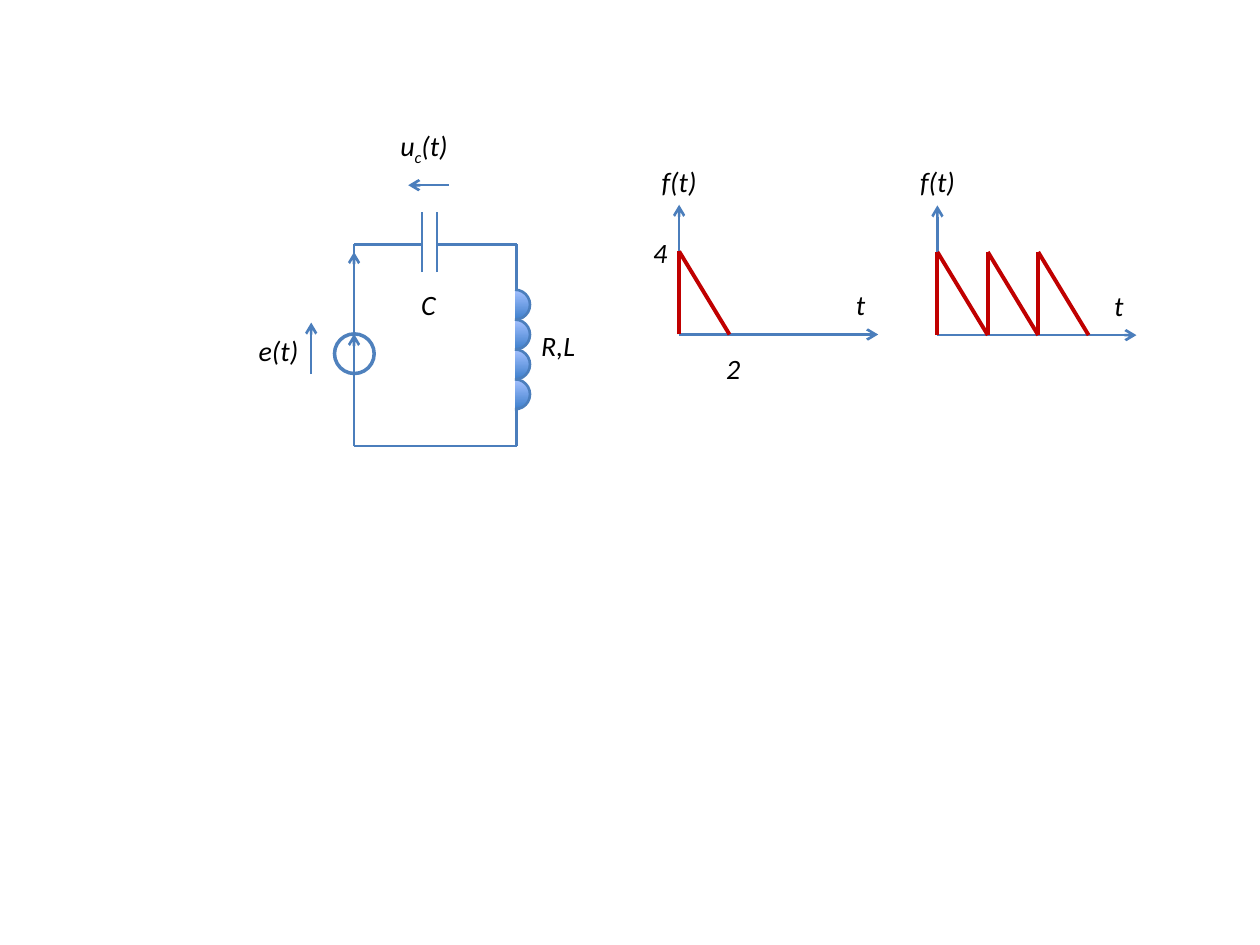
from lxml import etree
from pptx import Presentation
from pptx.dml.color import RGBColor as RGB
from pptx.enum.shapes import MSO_CONNECTOR as CONN, MSO_SHAPE as SHAPE
from pptx.enum.text import MSO_AUTO_SIZE as AUTO, PP_ALIGN as ALIGN
from pptx.oxml.ns import qn
from pptx.util import Inches, Pt

COLORS = {"wire": "4B7EBC", "source": "4F81BD", "signal": "C00000",
          "text": "000000", "paper": "FFFFFF"}
COLS, ROWS = 100, 75

prs = Presentation()
prs.slide_width, prs.slide_height = Inches(10), Inches(7.5)
s = prs.slides.add_slide(prs.slide_layouts[6])


def cols(n):
    """Length of n grid columns."""
    return round(prs.slide_width * n / COLS)


def rows(n):
    """Length of n grid rows."""
    return round(prs.slide_height * n / ROWS)


def style_line(line, color, width):
    """Set the colour and width of an outline."""
    line.color.rgb = RGB.from_string(COLORS[color])
    line.width = Pt(width)


def line(box, start, end, arrow=False, color="wire", width=1.5):
    """Draw a line between two points given relative to the box."""
    x, y = box
    c = s.shapes.add_connector(CONN.STRAIGHT, cols(x + start[0]), rows(y + start[1]),
                               cols(x + end[0]), rows(y + end[1]))
    style_line(c.line, color, width)
    sp_pr = c.element.spPr
    if arrow:
        etree.SubElement(sp_pr.find(qn("a:ln")), qn("a:tailEnd"), type="arrow")
    etree.SubElement(sp_pr, qn("a:effectLst"))


def shape(box, kind, left, top, size):
    """Add a square preset shape relative to the box."""
    sp = s.shapes.add_shape(kind, cols(box[0] + left), rows(box[1] + top),
                            cols(size), rows(size))
    sp.shadow.inherit = False
    return sp


def label(box, left, top, width, *parts, wrap=False):
    """Add an italic centred label; the second part, if any, is a subscript."""
    tb = s.shapes.add_textbox(cols(box[0] + left), rows(box[1] + top),
                              cols(width), rows(3.7))
    tf = tb.text_frame
    tf.word_wrap, tf.auto_size = wrap, AUTO.SHAPE_TO_FIT_TEXT
    p = tf.paragraphs[0]
    p.alignment = ALIGN.CENTER
    for i, part in enumerate(parts):
        r = p.add_run()
        r.text = part
        r.font.name, r.font.size, r.font.italic = "Calibri", Pt(16), True
        r.font.color.rgb = RGB.from_string(COLORS["text"])
        if i == 1:
            r.font._element.set("baseline", "-25000")


def circuit(box, width=12.9, height=16):
    """Draw the series circuit: source, capacitor and coil."""
    circle = shape(box, SHAPE.OVAL, -1.55, 7.1, 3.15)
    circle.fill.solid()
    circle.fill.fore_color.rgb = RGB.from_string(COLORS["paper"])
    style_line(circle.line, "source", 2)

    plates, coil_top, turn = (5.4, 6.6), 3.6, 2.37
    coil_end = coil_top + 4 * turn
    for start, end in [((0, height), (0, 0)),
                       ((plates[0], 0), (0, 0)),
                       ((width, 0), (plates[1], 0)),
                       ((width, 0), (width, coil_top)),
                       ((width, coil_end), (width, height)),
                       ((width, height), (0, height))]:
        line(box, start, end)
    for x in plates:
        line(box, (x, 2.2), (x, -2.6))
    for start, end in [((0, 10.3), (0, 7.1)), ((0, 3.7), (0, 0.6)),
                       ((-3.4, 10.3), (-3.4, 6.2)), ((7.5, -4.7), (4.3, -4.7))]:
        line(box, start, end, arrow=True)
    for i in range(4):
        arc = shape(box, SHAPE.ARC, width - 1.3, coil_top + i * turn, turn)
        arc.adjustments[0], arc.adjustments[1] = 162, 54.64
        style_line(arc.line, "wire", 1.5)

    label(box, -8.6, 6.6, 5.2, "e(t)")
    label(box, 4.3, 2.9, 3.2, "C")
    label(box, 2.6, -9.7, 5.9, "u", "c", "(t)")
    label(box, 13.2, 6.2, 6, "R,L", wrap=True)


def sawtooth_plot(box, teeth, peak=6.6, period=4):
    """Draw the axes and a sawtooth signal, with the origin at the box."""
    line(box, (0, 0), (0, -10.3), arrow=True)
    line(box, (0, 0), (15.8, 0), arrow=True)
    label(box, -2.4, -14, 4.8, "f(t)")
    label(box, 13, -4.2, 2.8, "t")
    for x in (i * period for i in range(teeth)):
        for foot in (x, x + period):
            line(box, (foot, 0), (x, -peak), color="signal", width=2.25)


circuit((28.1, 19.4))
pulse = (53.9, 26.55)
sawtooth_plot(pulse, teeth=1)
label(pulse, 2.7, 0.85, 3.2, "2")
label(pulse, -3.1, -8.35, 3.2, "4")
sawtooth_plot((74.4, 26.6), teeth=3)

prs.save("out.pptx")
